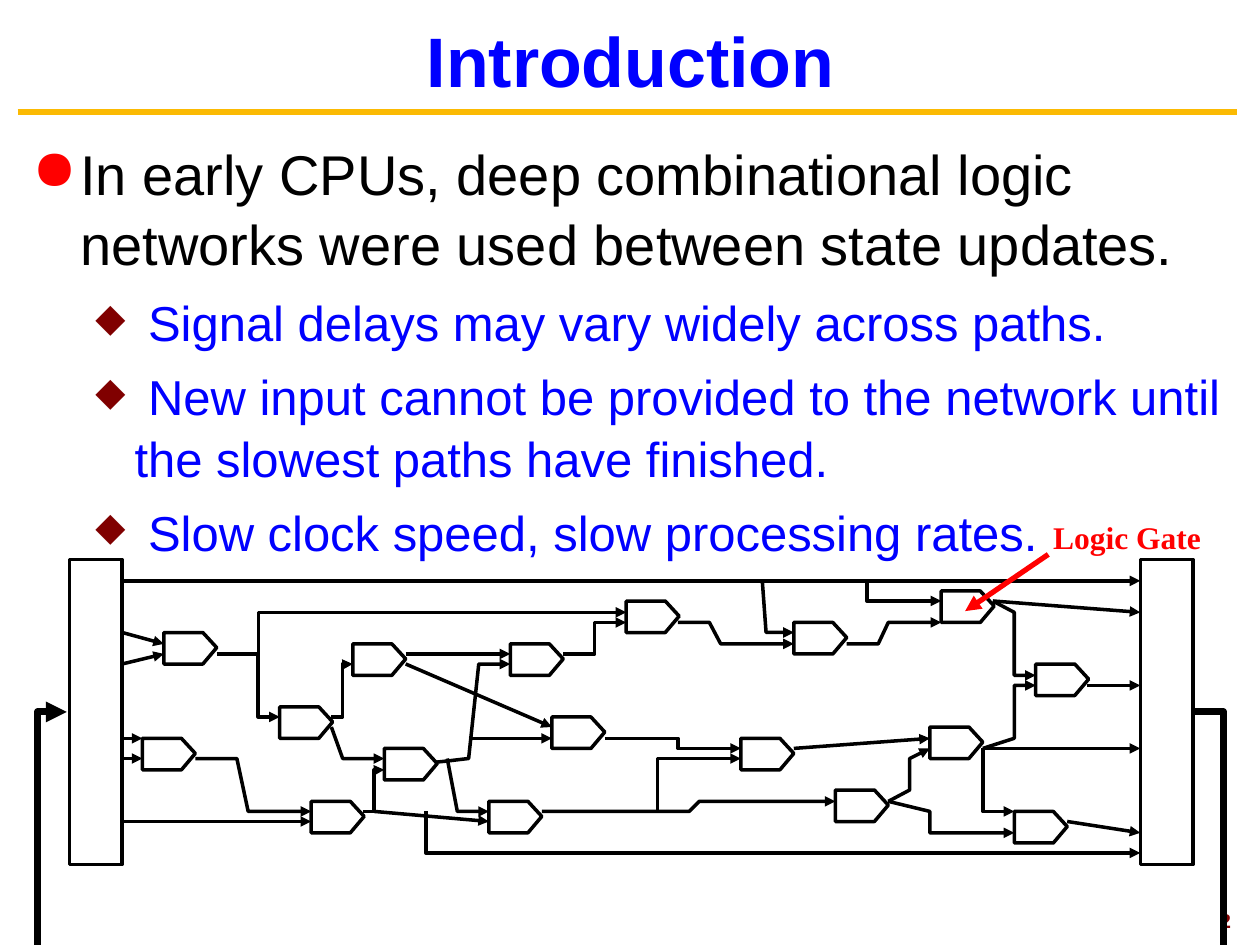
from dataclasses import dataclass

from lxml import etree
from pptx import Presentation
from pptx import util as u
from pptx.dml.color import RGBColor
from pptx.enum import shapes, text
from pptx.oxml.ns import qn

PX = 9144


@dataclass(frozen=True)
class Theme:
    sans: str = "Arial"
    serif: str = "Times New Roman"
    black: str = "000000"
    blue: str = "0000FF"
    red: str = "FF0000"
    maroon: str = "800000"
    gold: str = "FBBA03"
    title: int = 40
    point: int = 32
    subpoint: int = 28
    label: int = 18
    number: int = 12
    wire: float = 2
    loop: float = 4
    callout: float = 3
    rule: float = 3.75


class SlideBuilder:
    """Draws styled elements on the current slide, with lengths in px of 1/100 inch."""

    def __init__(self, slide, theme):
        self.slide = slide
        self.theme = theme

    def stroke(self, shape, color, width, arrow):
        shape.line.color.rgb = RGBColor.from_string(color)
        shape.line.width = u.Pt(width)
        if arrow:
            outline = shape._element.spPr.find(qn("a:ln"))
            etree.SubElement(outline, qn("a:tailEnd"), type="triangle")

    def outline(self, shape, width, arrow=False):
        shape.shadow.inherit = False
        shape.fill.background()
        self.stroke(shape, self.theme.black, width, arrow)

    def format(self, paragraph, font, size, color, bold=False):
        for run in paragraph.runs:
            run.font.name = font
            run.font.size = u.Pt(size)
            run.font.bold = bold
            run.font.color.rgb = RGBColor.from_string(color)

    def title(self, wording, left, top, width, height):
        shape = self.slide.shapes.title
        shape.left, shape.top = left * PX, top * PX
        shape.width, shape.height = width * PX, height * PX
        frame = shape.text_frame
        frame.text = wording
        frame.vertical_anchor = text.MSO_ANCHOR.MIDDLE
        paragraph = frame.paragraphs[0]
        paragraph.alignment = text.PP_ALIGN.CENTER
        self.format(paragraph, self.theme.sans, self.theme.title, self.theme.blue, True)

    def label(self, wording, left, top, width, height, size, color):
        frame = self.slide.shapes.add_textbox(
            left * PX, top * PX, width * PX, height * PX).text_frame
        frame.word_wrap = False
        frame.text = wording
        self.format(frame.paragraphs[0], self.theme.serif, size, color, True)

    def bullet(self, paragraph, symbol, color, percent, margin, hanging):
        properties = paragraph._p.get_or_add_pPr()
        properties.set("marL", str(margin * PX))
        properties.set("indent", str(-hanging * PX))
        holder = etree.SubElement(properties, qn("a:buClr"))
        etree.SubElement(holder, qn("a:srgbClr"), val=color)
        etree.SubElement(properties, qn("a:buSzPct"), val=str(percent * 1000))
        etree.SubElement(properties, qn("a:buChar"), char=symbol)

    def body(self, point, subpoints, left, top, width, height):
        theme = self.theme
        frame = self.slide.shapes.add_textbox(
            left * PX, top * PX, width * PX, height * PX).text_frame
        frame.word_wrap = True
        frame.margin_top = 7 * PX
        for index, wording in enumerate([point, *subpoints]):
            paragraph = frame.add_paragraph() if index else frame.paragraphs[0]
            paragraph.text = wording
            paragraph.line_spacing = 1.05
            if index:
                paragraph.level = 1
                paragraph.space_before = u.Pt(7)
                self.bullet(paragraph, "◆", theme.maroon, 80, 81, 31)
                self.format(paragraph, theme.sans, theme.subpoint, theme.blue)
            else:
                self.bullet(paragraph, "●", theme.red, 100, 38, 38)
                self.format(paragraph, theme.sans, theme.point, theme.black)

    def register(self, left, top, width, height):
        shape = self.slide.shapes.add_shape(
            shapes.MSO_SHAPE.RECTANGLE, left * PX, top * PX, width * PX, height * PX)
        self.outline(shape, self.theme.wire)

    def polyline(self, points, closed=False):
        builder = self.slide.shapes.build_freeform(*points[0], scale=PX)
        builder.add_line_segments(points[1:], close=closed)
        return builder.convert_to_shape()

    def gate(self, left, top):
        right, shoulder, bottom = left + 42, left + 31, top + 25
        shape = self.polyline([(left, top), (shoulder, top), (right, top + 12),
                               (shoulder, bottom), (left, bottom)], closed=True)
        self.outline(shape, self.theme.wire)

    def line(self, start, end, color, width, arrow=True):
        connector = self.slide.shapes.add_connector(
            shapes.MSO_CONNECTOR.STRAIGHT, *(value * PX for value in (*start, *end)))
        self.stroke(connector, color, width, arrow)
        etree.SubElement(connector._element.spPr, qn("a:effectLst"))

    def wire(self, *points):
        if len(points) == 2:
            self.line(*points, self.theme.black, self.theme.wire)
        else:
            self.outline(self.polyline(points), self.theme.wire, arrow=True)

    def loop(self, *points):
        self.outline(self.polyline(points), self.theme.loop, arrow=True)


SUBPOINTS = [
    " Signal delays may vary widely across paths.",
    " New input cannot be provided to the network until the slowest paths have finished.",
    " Slow clock speed, slow processing rates.",
]
REGISTERS = [55, 905]
GATES = [
    (280, 511), (222, 561), (305, 594), (405, 511), (497, 477), (438, 569),
    (630, 494), (588, 586), (130, 502), (738, 577), (747, 469), (822, 527),
    (805, 644), (388, 636), (663, 627), (247, 636), (113, 586),
]
WIRES = [
    [(172, 519), (205, 519), (205, 569), (222, 569)],
    [(205, 519), (205, 486), (497, 486)],
    [(97, 461), (905, 461)],
    [(688, 461), (688, 477), (747, 477)],
    [(263, 569), (272, 569), (272, 527), (280, 527)],
    [(97, 502), (130, 511)],
    [(97, 527), (130, 519)],
    [(97, 586), (113, 586)],
    [(97, 602), (113, 602)],
    [(155, 602), (188, 602), (197, 644), (247, 644)],
    [(97, 652), (247, 652)],
    [(263, 577), (272, 602), (305, 602)],
    [(288, 644), (297, 644), (297, 611), (305, 611)],
    [(322, 519), (405, 519)],
    [(345, 605), (355, 604), (372, 602), (380, 527), (405, 527)],
    [(355, 602), (363, 644), (388, 644)],
    [(297, 644), (388, 652)],
    [(322, 527), (438, 577)],
    [(372, 586), (438, 586)],
    [(480, 586), (538, 586), (538, 594), (588, 594)],
    [(430, 644), (547, 644), (555, 636), (663, 636)],
    [(447, 519), (472, 519), (472, 494), (497, 494)],
    [(522, 644), (522, 602), (588, 602)],
    [(605, 461), (608, 502), (630, 502)],
    [(538, 494), (563, 494), (572, 511), (630, 511)],
    [(672, 511), (697, 511), (705, 494), (747, 494)],
    [(788, 477), (805, 486), (805, 536), (822, 536)],
    [(863, 544), (905, 544)],
    [(788, 477), (905, 486)],
    [(780, 594), (805, 586), (805, 544), (822, 544)],
    [(780, 594), (780, 644), (805, 644)],
    [(780, 594), (905, 594)],
    [(847, 652), (905, 661)],
    [(705, 636), (738, 644), (738, 661), (805, 661)],
    [(630, 594), (738, 586)],
    [(705, 636), (722, 627), (722, 602), (738, 594)],
    [(338, 644), (338, 677), (905, 677)],
]


def main():
    presentation = Presentation()
    presentation.slide_width, presentation.slide_height = 1000 * PX, 750 * PX
    theme = Theme()
    builder = SlideBuilder(presentation.slides.add_slide(presentation.slide_layouts[5]), theme)
    builder.line((14, 89), (982, 89), theme.gold, theme.rule, arrow=False)
    builder.label("2", 959, 715, 26, 23, theme.number, theme.maroon)
    builder.title("Introduction", 19, 14, 963, 67)
    builder.body("In early CPUs, deep combinational logic networks were used between state updates.",
                 SUBPOINTS, 16, 101, 984, 649)
    for left in REGISTERS:
        builder.register(left, 444, 42, 242)
    for corner in GATES:
        builder.gate(*corner)
    builder.loop((948, 565), (971, 565), (971, 770), (30, 770), (30, 565), (53, 565))
    for points in WIRES:
        builder.wire(*points)
    builder.line((832, 440), (766, 485), theme.red, theme.callout)
    builder.label("Logic Gate", 826, 406, 137, 40, theme.label, theme.red)
    presentation.save("out.pptx")


if __name__ == "__main__":
    main()
